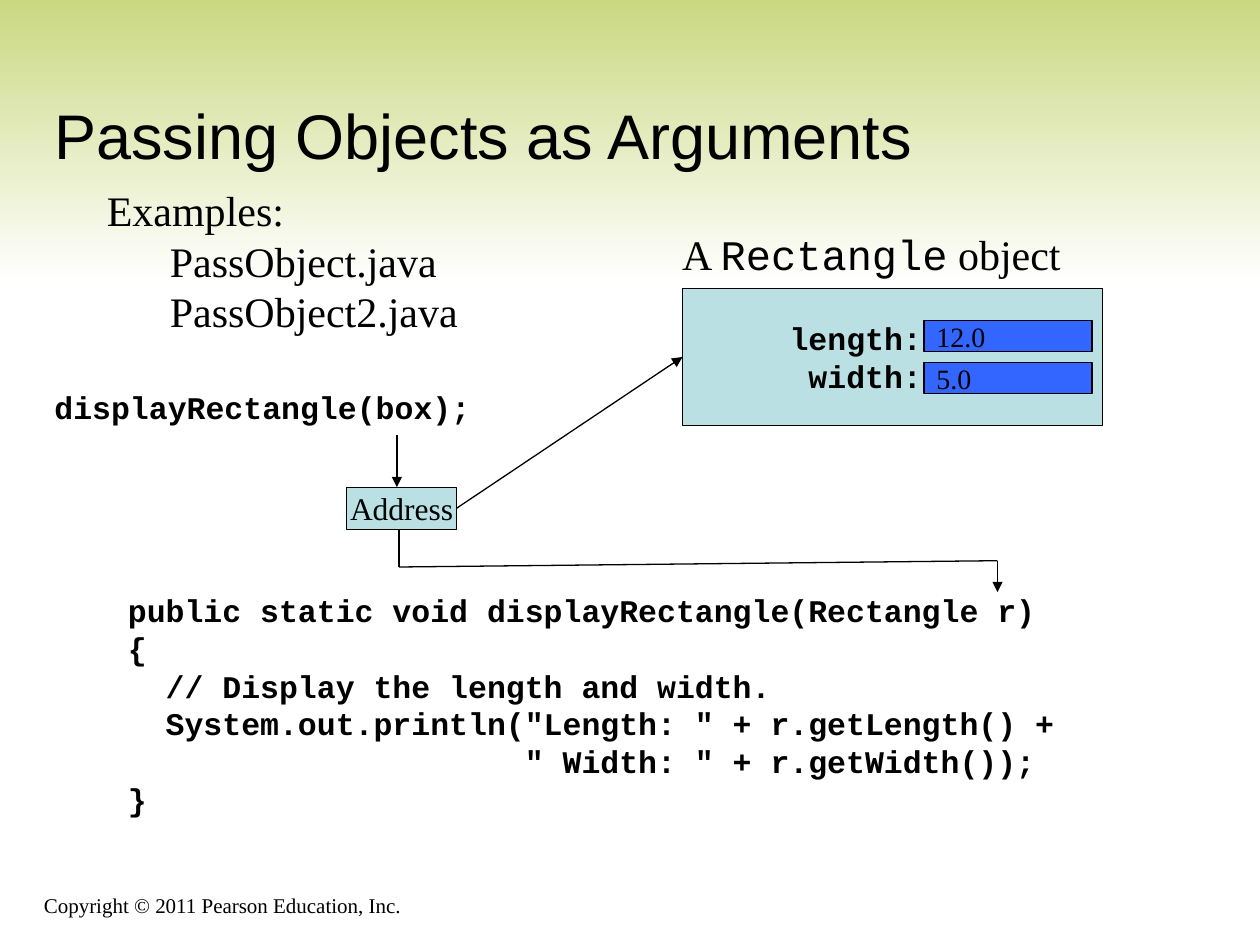
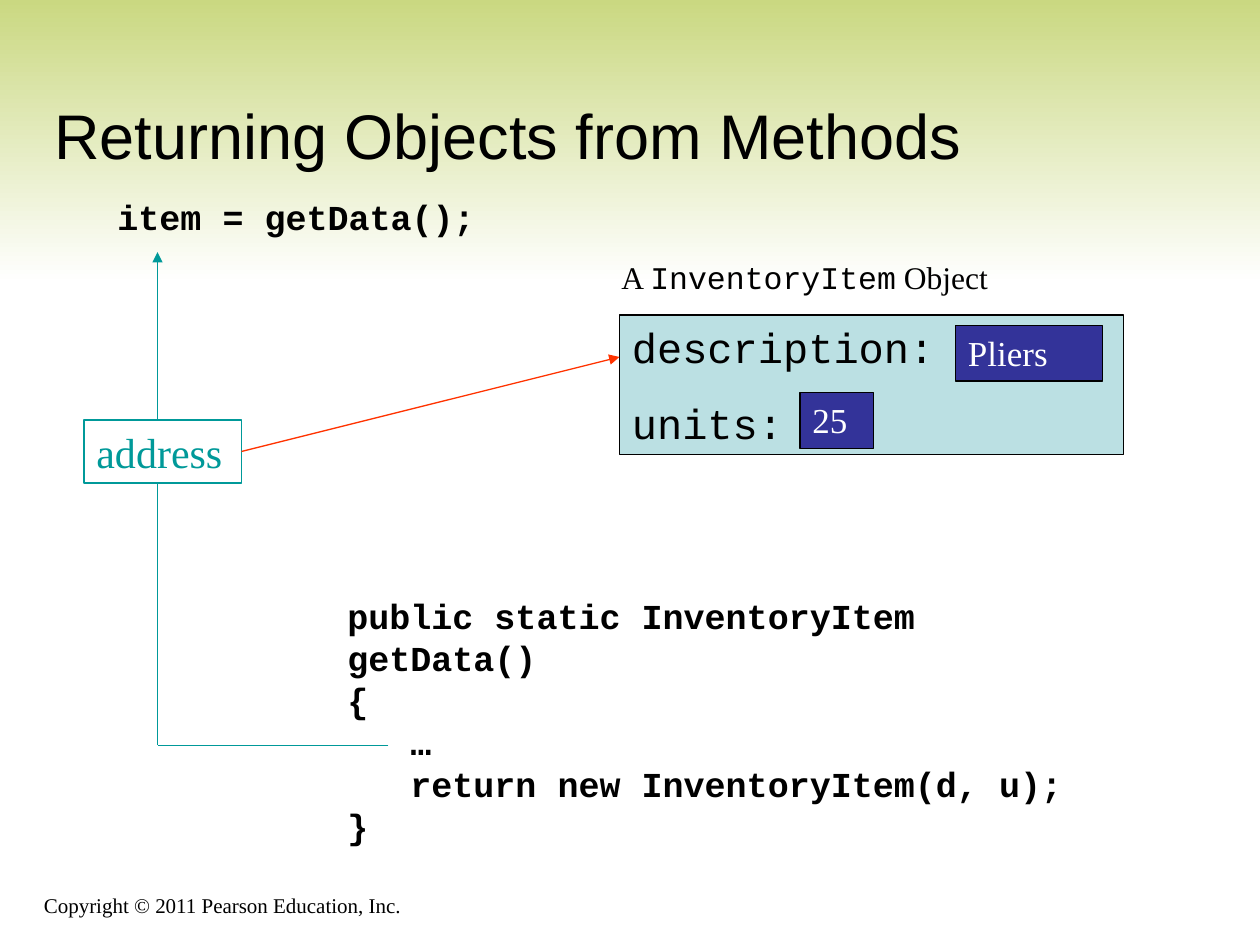
from dataclasses import dataclass
from typing import Optional

import pptx
import pptx.util
import pptx.dml.color
import pptx.enum.shapes
import pptx.enum.text
import pptx.oxml.ns
from lxml import etree

# Shared style: a grid of 120 columns by 90 rows on a 10 x 7.5 inch slide
COLUMNS, ROWS = 120, 90
CELL = pptx.util.Inches(10) // COLUMNS
COLOURS = {
    "black": "000000", "white": "FFFFFF", "band": "CAD881", "object": "BBE0E3",
    "value": "3366FF", "field": "333399", "teal": "009999", "red": "FF3300",
}
SERIF, SANS, MONO = "Times New Roman", "Arial", "Courier New"
LINE_WIDTH = pptx.util.Pt(0.75)
ANCHOR = pptx.enum.text.MSO_ANCHOR
ALIGN = pptx.enum.text.PP_ALIGN
Area = tuple[float, float, float, float]  # column, row, columns wide, rows high
Point = tuple[float, float]  # column, row


@dataclass(frozen=True)
class Line:
    """One paragraph: runs of text, each with its own font."""
    runs: tuple[tuple[str, str], ...]
    indent: float = 0
    space_before: float = 0


@dataclass(frozen=True)
class Block:
    """A text box, or a rectangle when an outline colour is given."""
    area: Area
    lines: tuple[Line, ...]
    size: float
    bold: bool = False
    colour: str = "black"
    outline: Optional[str] = None
    fill: Optional[str] = None
    anchor: ANCHOR = ANCHOR.TOP
    align: ALIGN = ALIGN.LEFT
    wrap: bool = True
    right_inset: float = 1.2
    name: str = ""


@dataclass(frozen=True)
class Link:
    """A straight line; a joint is a block's name and the number of its side."""
    start: Point
    end: Point
    colour: str = "black"
    arrow: bool = False
    start_joint: Optional[tuple[str, int]] = None
    end_joint: Optional[tuple[str, int]] = None


def cells(*numbers: float) -> list[int]:
    return [round(number * CELL) for number in numbers]


def rgb(colour: str) -> pptx.dml.color.RGBColor:
    return pptx.dml.color.RGBColor.from_string(COLOURS[colour])


def text(font: str, *rows: str) -> tuple[Line, ...]:
    return tuple(Line(((row, font),)) for row in rows)


def caption(class_name: str, noun: str) -> tuple[Line, ...]:
    return (Line((("A ", SERIF), (class_name, MONO), (f" {noun}", SERIF))),)


def value_box(area: Area, value: str) -> Block:
    return Block(area, text(SERIF, value), 16, outline="black", fill="value",
                 anchor=ANCHOR.MIDDLE)


def field_box(area: Area, value: str) -> Block:
    return Block(area, text(SERIF, value), 20, colour="white", outline="black", fill="field")


def add_rectangle(slide, area: Area):
    shape = slide.shapes.add_shape(pptx.enum.shapes.MSO_SHAPE.RECTANGLE, *cells(*area))
    shape.shadow.inherit = False
    return shape


def write_lines(shape, block: Block) -> None:
    frame = shape.text_frame
    frame.word_wrap = block.wrap
    frame.vertical_anchor = block.anchor
    frame.margin_right = cells(block.right_inset)[0]
    for index, line in enumerate(block.lines):
        paragraph = frame.add_paragraph() if index else frame.paragraphs[0]
        paragraph.alignment = block.align
        paragraph.space_before = pptx.util.Pt(line.space_before)
        if line.indent:
            paragraph._p.get_or_add_pPr().set("marL", str(cells(line.indent)[0]))
        for words, font_name in line.runs:
            run = paragraph.add_run()
            run.text = words
            run.font.name = font_name
            run.font.size = pptx.util.Pt(block.size)
            run.font.bold = block.bold
            run.font.color.rgb = rgb(block.colour)


def add_block(slide, block: Block):
    if block.outline:
        shape = add_rectangle(slide, block.area)
        shape.line.color.rgb = rgb(block.outline)
        shape.line.width = LINE_WIDTH
        if block.fill:
            shape.fill.solid()
            shape.fill.fore_color.rgb = rgb(block.fill)
        else:
            shape.fill.background()
    else:
        shape = slide.shapes.add_textbox(*cells(*block.area))
    write_lines(shape, block)
    return shape


def add_link(slide, link: Link, named: dict) -> None:
    connector = slide.shapes.add_connector(
        pptx.enum.shapes.MSO_CONNECTOR.STRAIGHT, *cells(*link.start, *link.end))
    if link.start_joint:
        connector.begin_connect(named[link.start_joint[0]], link.start_joint[1])
    if link.end_joint:
        connector.end_connect(named[link.end_joint[0]], link.end_joint[1])
    connector.line.color.rgb = rgb(link.colour)
    connector.line.width = LINE_WIDTH
    if link.arrow:
        outline = connector.line._get_or_add_ln()
        etree.SubElement(outline, pptx.oxml.ns.qn("a:tailEnd"), type="triangle")
    etree.SubElement(connector._element.spPr, pptx.oxml.ns.qn("a:effectLst"))


def add_band(slide) -> None:
    band = add_rectangle(slide, (0, 0, COLUMNS, 27))
    band.line.fill.background()
    band.fill.gradient()
    band.fill.gradient_angle = 270
    for stop, position, colour in zip(band.fill.gradient_stops, (0, 1), ("band", "white")):
        stop.position = position
        stop.color.rgb = rgb(colour)


def add_slide(presentation, title: str, blocks: list[Block], links: list[Link]) -> None:
    slide = presentation.slides.add_slide(presentation.slide_layouts[6])
    add_band(slide)
    add_block(slide, Block((3, 83, 73, 5), text(SERIF, "Copyright © 2011 Pearson Education, Inc."),
                           12, anchor=ANCHOR.BOTTOM))
    add_block(slide, Block((4, 4, 113, 13), text(SANS, title), 36, anchor=ANCHOR.BOTTOM))
    named = {block.name: add_block(slide, block) for block in blocks}
    for link in links:
        add_link(slide, link, named)


# Slide 1: an object's address is handed to a method
EXAMPLES = text(SERIF, "Examples:") + tuple(
    Line(((file_name, SERIF),), indent=6) for file_name in ("PassObject.java", "PassObject2.java"))
PASSING_BLOCKS = [
    Block((9, 17, 35.8, 15.6), EXAMPLES, 24),
    Block((4, 36.4, 43, 4.8), text(MONO, "displayRectangle(box);"), 18, bold=True),
    Block((11, 55.7, 90.6, 22.8), text(
        MONO,
        "public static void displayRectangle(Rectangle r)",
        "{",
        "  // Display the length and width.",
        '  System.out.println("Length: " + r.getLength() +',
        '                     " Width: " + r.getWidth());',
        "}"), 18, bold=True, wrap=False),
    Block((63.8, 21.2, 38.6, 6), caption("Rectangle", "object"), 24, wrap=False),
    Block((65, 27.5, 40, 13), text(MONO, "length:", "width:"), 18, bold=True,
          outline="black", fill="object", anchor=ANCHOR.MIDDLE, align=ALIGN.RIGHT,
          right_inset=17.2, name="rectangle"),
    *(value_box((88, 30.5 + 4 * row, 16, 3), value) for row, value in enumerate(("12.0", "5.0"))),
    Block((33, 46.4, 10.5, 4), text(SERIF, "Address"), 18, outline="black", fill="object",
          anchor=ANCHOR.MIDDLE, align=ALIGN.CENTER, wrap=False, name="address"),
]
PASSING_LINKS = [
    Link((37.8, 41.4), (37.8, 46.4), arrow=True),
    Link((38, 50.4), (38, 54)),
    Link((38, 54), (95, 53.4)),
    Link((95, 53.4), (95, 56.4), arrow=True),
    Link((43.5, 48.4), (65, 34), arrow=True,
         start_joint=("address", 3), end_joint=("rectangle", 1)),
]

# Slide 2: a method returns an object's address
ITEM_FIELDS = tuple(Line(((label, MONO),), space_before=space)
                    for label, space in (("description:", 0), ("units:", 15)))
RETURNING_BLOCKS = [
    Block((10, 18, 51, 5.3), text(MONO, "item = getData();"), 20, bold=True),
    Block((31.9, 56, 76.5, 21.2), text(
        MONO,
        "public static InventoryItem getData()",
        "{",
        "   …",
        "   return new InventoryItem(d, u);",
        "}"), 20, bold=True, wrap=False),
    Block((59, 30, 48, 13.3), ITEM_FIELDS, 24, outline="black", fill="object"),
    field_box((91, 31, 14, 5.3), "Pliers"),
    field_box((76.2, 37.4, 7, 5.3), "25"),
    Block((8, 40, 15, 6), text(SERIF, "address"), 24, colour="teal", outline="teal",
          name="address"),
    Block((58, 24, 38, 4.8), caption("InventoryItem", "Object"), 18),
]
RETURNING_LINKS = [
    Link((15, 40), (15, 24), "teal", arrow=True),
    Link((37, 71), (15, 71), "teal"),
    Link((15, 71), (15, 46), "teal"),
    Link((23, 43), (59, 34), "red", arrow=True, start_joint=("address", 3)),
]


def main() -> None:
    presentation = pptx.Presentation()
    presentation.slide_width, presentation.slide_height = COLUMNS * CELL, ROWS * CELL
    add_slide(presentation, "Passing Objects as Arguments", PASSING_BLOCKS, PASSING_LINKS)
    add_slide(presentation, "Returning Objects from Methods", RETURNING_BLOCKS, RETURNING_LINKS)
    presentation.save("out.pptx")


if __name__ == "__main__":
    main()
